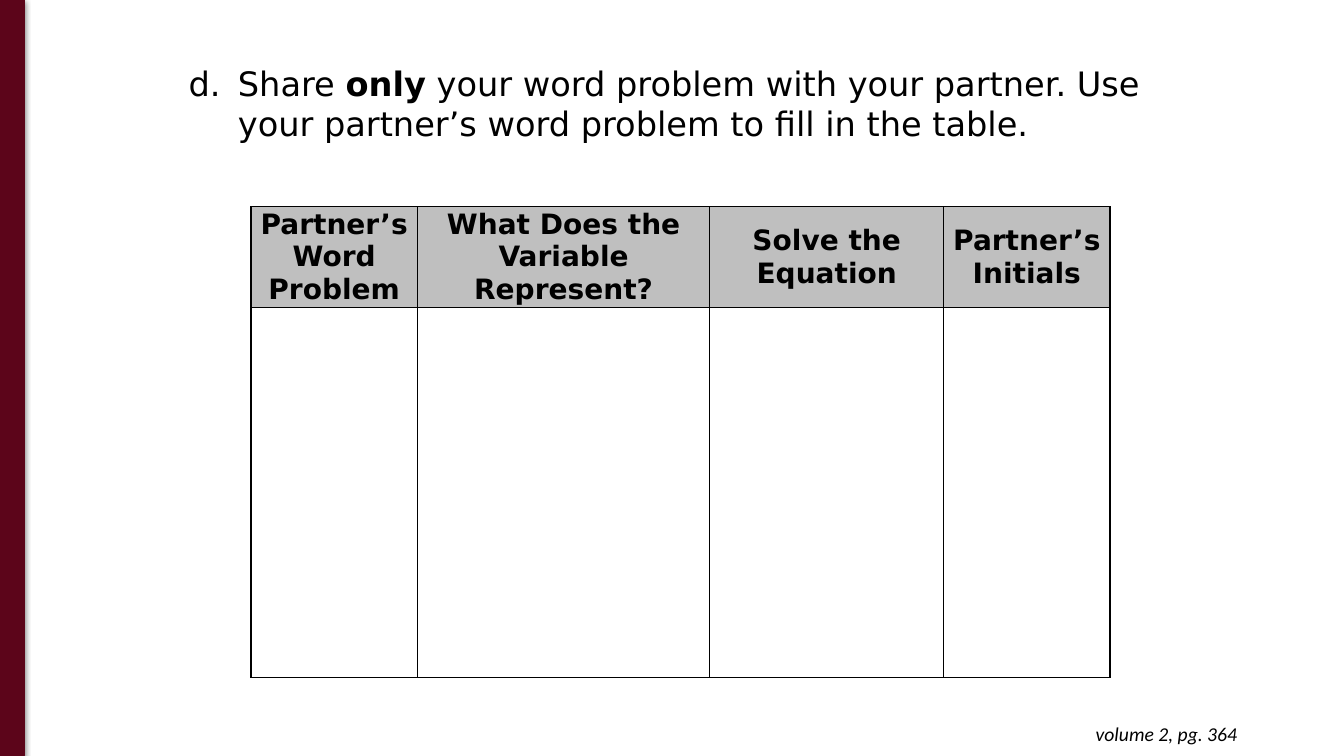
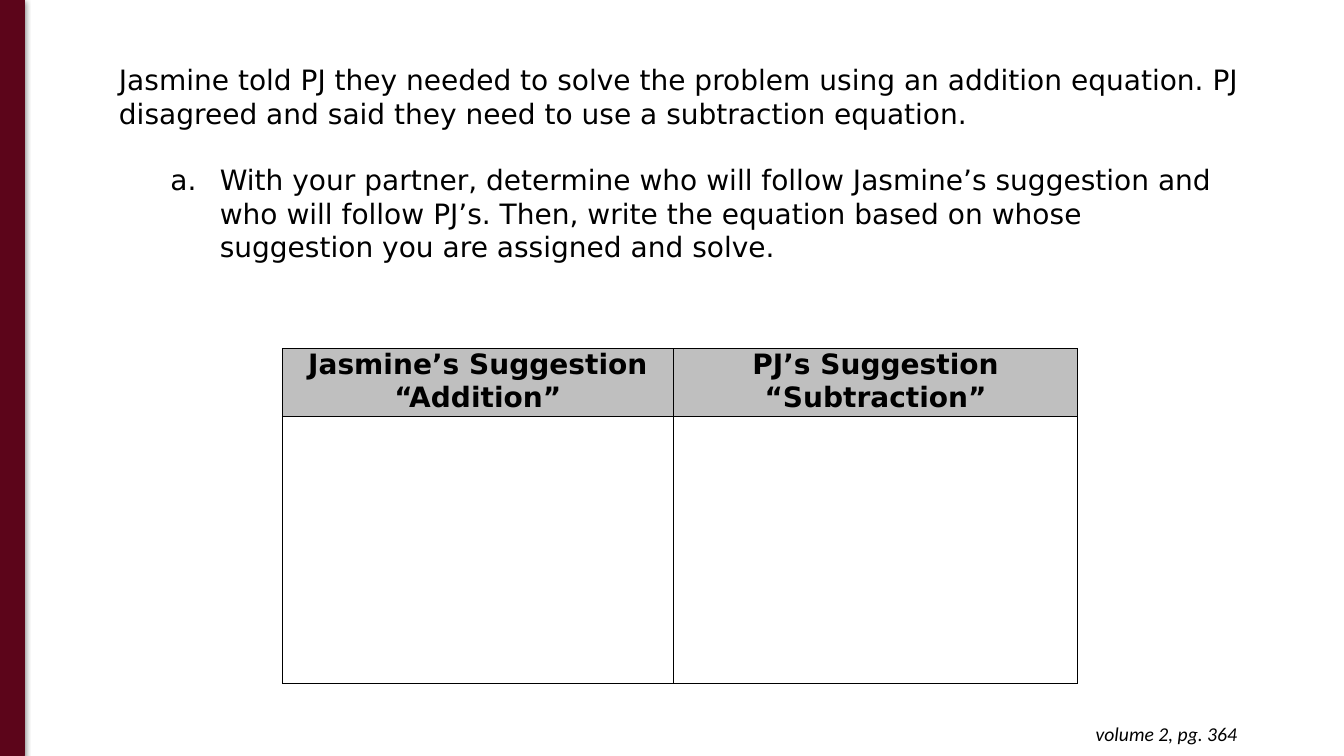
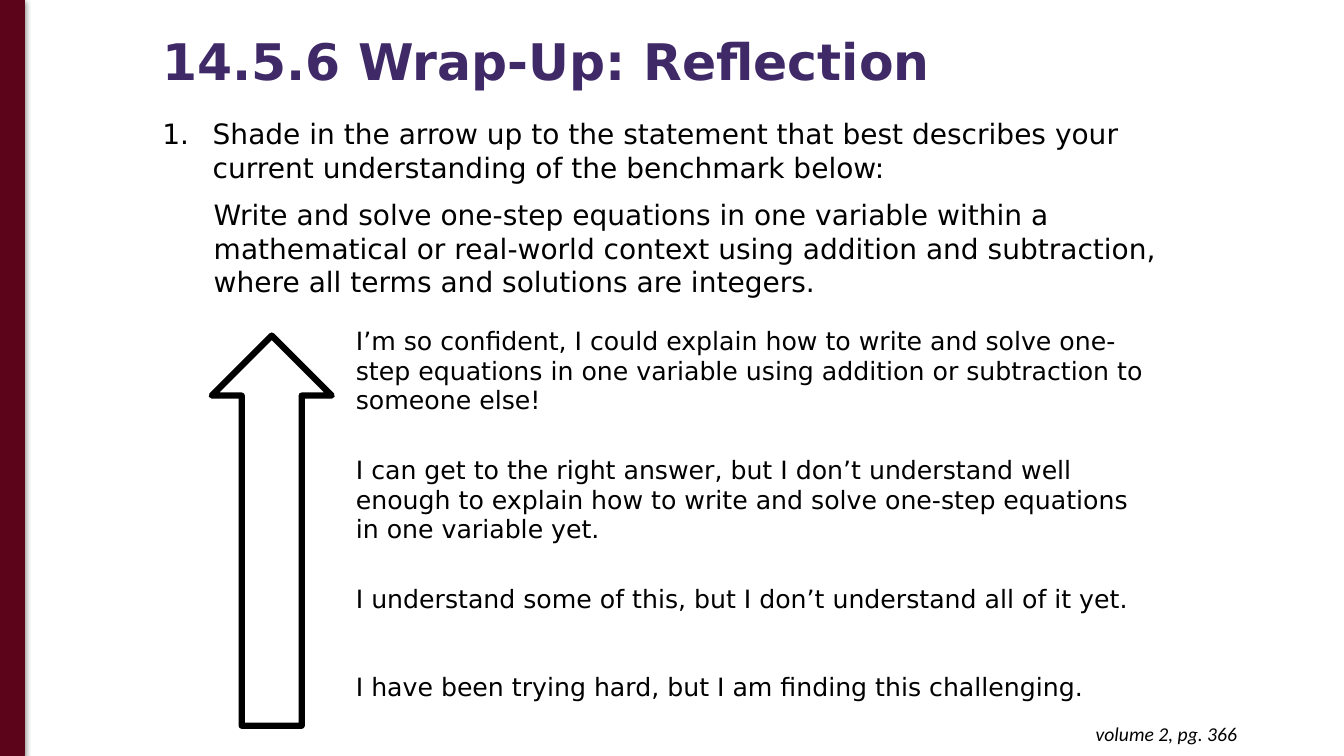
from lxml import etree
from pptx import Presentation
from pptx.dml.color import RGBColor
from pptx.enum.shapes import MSO_SHAPE
from pptx.enum.text import MSO_ANCHOR, MSO_AUTO_SIZE, PP_ALIGN
from pptx.oxml import parse_xml
from pptx.oxml.ns import nsdecls, qn
from pptx.util import Inches, Pt

RECTANGLE, UP_ARROW = MSO_SHAPE.RECTANGLE, MSO_SHAPE.UP_ARROW
TOP, MIDDLE = MSO_ANCHOR.TOP, MSO_ANCHOR.MIDDLE
LEFT, CENTER, RIGHT = PP_ALIGN.LEFT, PP_ALIGN.CENTER, PP_ALIGN.RIGHT
NO_AUTOFIT = MSO_AUTO_SIZE.NONE

BLACK = RGBColor(0x00, 0x00, 0x00)
MAROON = RGBColor(0x5C, 0x05, 0x1A)
PURPLE = RGBColor(0x3F, 0x2A, 0x67)
HEADER_GRAY = RGBColor(0xBF, 0xBF, 0xBF)

TITLE = {"name": "DejaVu Sans", "size": Pt(36), "bold": True}
LARGE = {"name": "DejaVu Sans", "size": Pt(24), "bold": False}
BODY = {"name": "DejaVu Sans", "size": Pt(20), "bold": False}
HEADER = {"name": "DejaVu Sans", "size": Pt(20), "bold": True}
STATEMENT = {"name": "DejaVu Sans", "size": Pt(18), "bold": False}
PAGE = {"name": "Calibri", "size": Pt(14), "italic": True}


def format_text(frame, style, align=LEFT, color=BLACK):
    for paragraph in frame.paragraphs:
        paragraph.alignment = align
        for run in paragraph.runs:
            run.font.color.rgb = color
            for key, value in style.items():
                setattr(run.font, key, value)


def add_grid(slide, left, top, widths, heights, texts, style, align, anchor,
             margins, fill=None, border=0):
    """Add a table; texts maps (row, column) to the wording of a filled cell."""
    table = slide.shapes.add_table(
        len(heights), len(widths), Inches(left), Inches(top),
        Inches(sum(widths)), Inches(sum(heights))).table
    table.first_row = table.horz_banding = False
    for column, width in zip(table.columns, widths):
        column.width = Inches(width)
    for row, height in zip(table.rows, heights):
        row.height = Inches(height)
    for r in range(len(heights)):
        for c in range(len(widths)):
            cell = table.cell(r, c)
            cell.margin_left = cell.margin_right = Inches(margins[0])
            cell.margin_top = cell.margin_bottom = Inches(margins[1])
            cell.vertical_anchor = anchor
            for side in ("lnL", "lnR", "lnT", "lnB") if border else ():
                cell._tc.get_or_add_tcPr().append(parse_xml(
                    f'<a:{side} {nsdecls("a")} w="{Pt(border)}"><a:solidFill>'
                    f'<a:srgbClr val="{BLACK}"/></a:solidFill></a:{side}>'))
            if fill is not None and (r, c) in texts:
                cell.fill.solid()
                cell.fill.fore_color.rgb = fill
            else:
                cell.fill.background()
            if (r, c) in texts:
                cell.text_frame.text = texts[r, c]
                format_text(cell.text_frame, style, align)
    return table


prs = Presentation()
prs.slide_width, prs.slide_height = Inches(13.33), Inches(7.5)

# Each paragraph: runs (odd ones bold), left margin, indent, numbering, space before
PAGES = [
    {"page": "volume 2, pg. 364", "box": (1.26, 0.57, 10.98, 0.91), "style": LARGE,
     "paragraphs": [
         (["Share ", "only", " your word problem with your partner. Use your "
           "partner’s word problem to fill in the table."],
          1, -0.49, ("alphaLcPeriod", 4), 0)]},
    {"page": "volume 2, pg. 364", "box": (1.08, 0.57, 11.34, 2.32), "style": BODY,
     "paragraphs": [
         (["Jasmine told PJ they needed to solve the problem using an addition "
           "equation. PJ disagreed and said they need to use a subtraction equation."],
          0, 0, None, 0),
         (["With your partner, determine who will follow Jasmine’s suggestion and who "
           "will follow PJ’s. Then, write the equation based on whose suggestion you "
           "are assigned and solve."],
          1, -0.49, ("alphaLcPeriod", 1), 23.5)]},
    {"page": "volume 2, pg. 366", "box": (1.51, 1.11, 10.6, 2.12), "style": BODY,
     "title": "14.5.6 Wrap-Up: Reflection",
     "paragraphs": [
         (["Shade in the arrow up to the statement that best describes your current "
           "understanding of the benchmark below:"],
          0.5, -0.5, ("arabicPeriod", 1), 0),
         (["Write and solve one-step equations in one variable within a mathematical "
           "or real-world context using addition and subtraction, where all terms and "
           "solutions are integers."],
          0.51, 0, None, 9.5)]},
]

for content in PAGES:
    slide = prs.slides.add_slide(prs.slide_layouts[1])

    # Title
    title = slide.shapes.title
    if "title" in content:
        title.left, title.top = Inches(1.51), Inches(-0.09)
        title.width, title.height = Inches(8.77), Inches(1.45)
        title.text_frame.text = content["title"]
        title.text_frame.vertical_anchor = MIDDLE
        title.text_frame.auto_size = NO_AUTOFIT
        title.text_frame.paragraphs[0].line_spacing = 0.9
        format_text(title.text_frame, TITLE, color=PURPLE)
    else:
        title.element.getparent().remove(title.element)

    # Instructions
    instructions = slide.placeholders[1]
    (instructions.left, instructions.top, instructions.width,
     instructions.height) = map(Inches, content["box"])
    frame = instructions.text_frame
    frame.auto_size = NO_AUTOFIT
    for i, (runs, margin, indent, numbering, before) in enumerate(content["paragraphs"]):
        paragraph = frame.add_paragraph() if i else frame.paragraphs[0]
        props = paragraph._p.get_or_add_pPr()
        props.set("marL", str(Inches(margin)))
        props.set("indent", str(Inches(indent)))
        if numbering:
            color = etree.SubElement(props, qn("a:buClr"))
            etree.SubElement(color, qn("a:srgbClr"), val=str(BLACK))
            etree.SubElement(props, qn("a:buFontTx"))
            etree.SubElement(props, qn("a:buAutoNum"), type=numbering[0],
                             startAt=str(numbering[1]))
        else:
            etree.SubElement(props, qn("a:buNone"))
        paragraph.space_before = Pt(before)
        for text in runs:
            paragraph.add_run().text = text
    format_text(frame, content["style"])
    for paragraph in frame.paragraphs:
        for emphasis in paragraph.runs[1::2]:
            emphasis.font.bold = True

    # Side band
    band = slide.shapes.add_shape(RECTANGLE, 0, 0, Inches(0.24), prs.slide_height)
    band.fill.solid()
    band.fill.fore_color.rgb = band.line.color.rgb = MAROON
    band.line.width = Pt(0.75)
    band.shadow.inherit = False
    band._element.spPr.find(qn("a:effectLst")).append(parse_xml(
        f'<a:outerShdw {nsdecls("a")} blurRad="{Pt(4.5)}" dist="{Pt(1.5)}" '
        f'dir="5400000" rotWithShape="0"><a:srgbClr val="{BLACK}">'
        '<a:alpha val="50000"/></a:srgbClr></a:outerShdw>'))

    # Page reference
    reference = slide.shapes.add_textbox(
        Inches(9.49), Inches(7.06), Inches(2.88), Inches(0.44)).text_frame
    reference.word_wrap = True
    for side in ("left", "top", "right", "bottom"):
        setattr(reference, f"margin_{side}", Inches(0.1))
    reference.text = content["page"]
    format_text(reference, PAGE, RIGHT)

partner_slide, suggestion_slide, reflection_slide = prs.slides

# Partner table
partner_headers = ["Partner’s Word Problem", "What Does the Variable Represent?",
                   "Solve the Equation", "Partner’s Initials"]
add_grid(partner_slide, 2.49, 2.05, [1.65, 2.9, 2.32, 1.65], [1, 3.67],
         {(0, c): text for c, text in enumerate(partner_headers)},
         HEADER, CENTER, MIDDLE, (0.07, 0), HEADER_GRAY, 1)

# Suggestion table
suggestion_headers = ["Jasmine’s Suggestion “Addition”",
                      "PJ’s Suggestion\n“Subtraction”"]
add_grid(suggestion_slide, 2.8, 3.46, [3.88, 4.01], [0.67, 2.65],
         {(0, c): text for c, text in enumerate(suggestion_headers)},
         HEADER, CENTER, TOP, (0.07, 0), HEADER_GRAY, 0.75)

# Confidence statements beside the arrow
statements = [
    "I’m so confident, I could explain how to write and solve one-step equations in "
    "one variable using addition or subtraction to someone else!",
    "I can get to the right answer, but I don’t understand well enough to explain how "
    "to write and solve one-step equations in one variable yet.",
    "I understand some of this, but I don’t understand all of it yet.",
    "I have been trying hard, but I am finding this challenging.",
]
scale = add_grid(reflection_slide, 2.53, 3.21, [0.92, 8.01], [1.28, 1.28, 0.78, 0.54],
                 {(r, 1): text for r, text in enumerate(statements)},
                 STATEMENT, LEFT, TOP, (0.08, 0.04))
scale.cell(0, 0).merge(scale.cell(3, 0))
scale.cell(3, 1).vertical_anchor = MIDDLE

# Arrow to shade
arrow = reflection_slide.shapes.add_shape(
    UP_ARROW, Inches(2.1), Inches(3.33), Inches(1.19), Inches(3.87))
arrow.fill.background()
arrow.line.color.rgb = BLACK
arrow.line.width = Pt(4.5)
arrow.shadow.inherit = False

prs.save("out.pptx")
